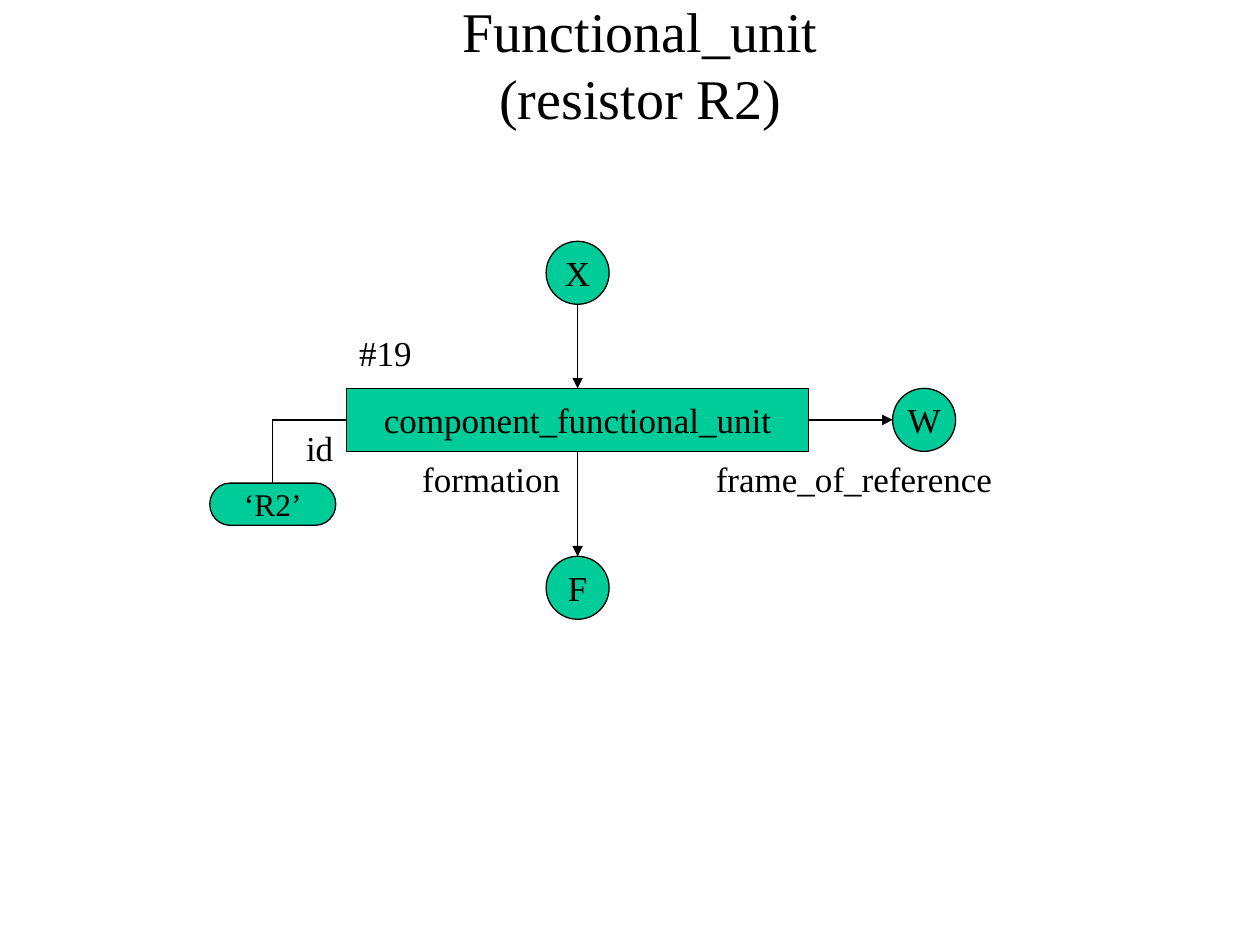
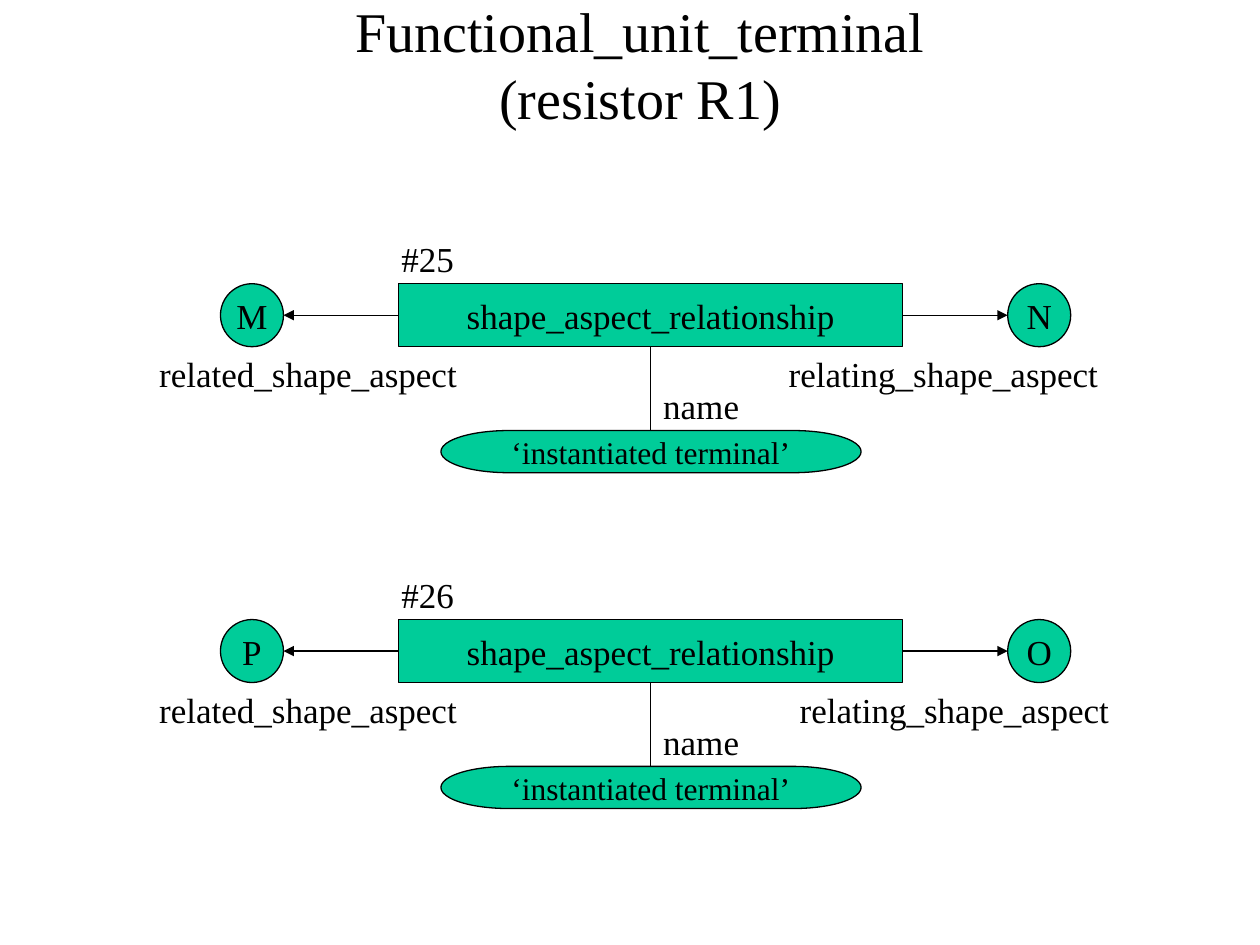
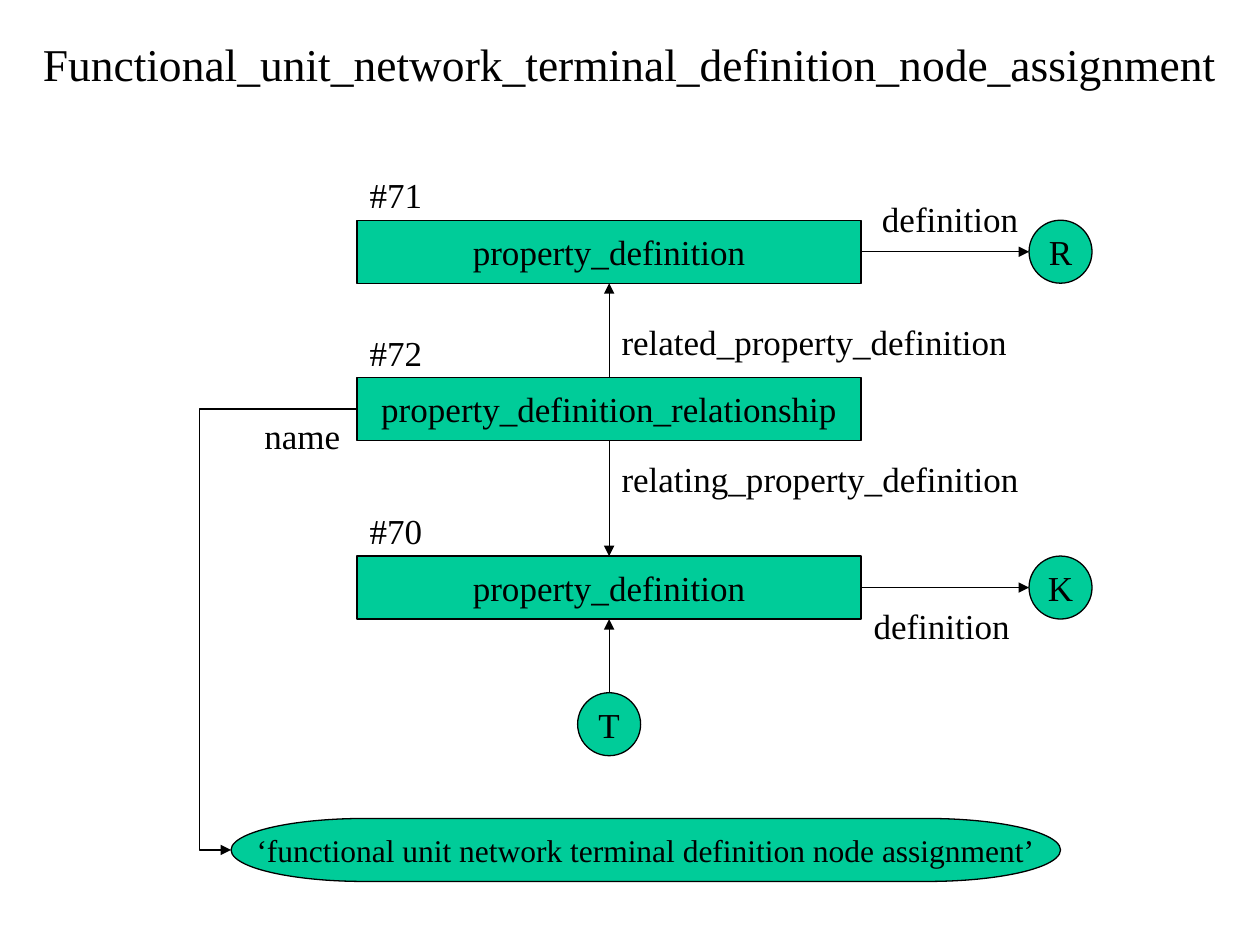
from dataclasses import dataclass

from lxml.etree import SubElement
from pptx import Presentation
from pptx.dml.color import RGBColor
from pptx.enum.shapes import MSO_CONNECTOR, MSO_SHAPE
from pptx.enum.text import MSO_ANCHOR, MSO_AUTO_SIZE, PP_ALIGN
from pptx.oxml.ns import qn
from pptx.util import Cm, Pt

GREEN = RGBColor(0x00, 0xCC, 0x99)
BLACK = RGBColor(0x00, 0x00, 0x00)
FONT = "Times New Roman"
TITLE_SIZE = 32
TEXT_SIZE = 20
VALUE_SIZE = 18
LINE_WIDTH = Pt(0.75)
ENTITY_HEIGHT = 1.27
NODE_SIZE = 1.27
VALUE_HEIGHT = 0.85
LABEL_HEIGHT = 1.12
TAG_WIDTH = 1.6
TAG_RISE = 1.06


@dataclass
class Box:
    """A rectangle in centimetres."""
    left: float
    top: float
    width: float
    height: float

    @property
    def right(self):
        """Return the right edge."""
        return self.left + self.width

    @property
    def bottom(self):
        """Return the bottom edge."""
        return self.top + self.height

    @property
    def center(self):
        """Return the horizontal centre."""
        return self.left + self.width / 2

    @property
    def middle(self):
        """Return the vertical centre."""
        return self.top + self.height / 2

    def lengths(self):
        """Return the position and size as lengths."""
        return [Cm(n) for n in (self.left, self.top, self.width, self.height)]


def style_text(text_frame, size, align):
    """Give every paragraph the shared font and the given size."""
    for paragraph in text_frame.paragraphs:
        paragraph.alignment = align
        for run in paragraph.runs:
            run.font.name = FONT
            run.font.size = Pt(size)
            run.font.color.rgb = BLACK


def add_block(slide, preset, text, box, size=TEXT_SIZE):
    """Draw a green outlined shape with centred text and return its box."""
    block = slide.shapes.add_shape(preset, *box.lengths())
    block.shadow.inherit = False
    block.fill.solid()
    block.fill.fore_color.rgb = GREEN
    block.line.color.rgb = BLACK
    block.line.width = LINE_WIDTH
    frame = block.text_frame
    frame.text = text
    frame.word_wrap = False
    frame.vertical_anchor = MSO_ANCHOR.MIDDLE
    style_text(frame, size, PP_ALIGN.CENTER)
    return box


def add_entity(slide, text, left, top, width):
    """Draw an entity rectangle."""
    box = Box(left, top, width, ENTITY_HEIGHT)
    return add_block(slide, MSO_SHAPE.RECTANGLE, text, box)


def add_node(slide, letter, center, middle):
    """Draw a lettered circle around a point."""
    box = Box(center - NODE_SIZE / 2, middle - NODE_SIZE / 2, NODE_SIZE, NODE_SIZE)
    return add_block(slide, MSO_SHAPE.FLOWCHART_CONNECTOR, letter, box)


def add_value(slide, text, left, top, width, height=VALUE_HEIGHT):
    """Draw a rounded attribute value."""
    box = Box(left, top, width, height)
    return add_block(slide, MSO_SHAPE.FLOWCHART_TERMINATOR, text, box, VALUE_SIZE)


def add_label(slide, text, left, top, width):
    """Write a one-line label."""
    label = slide.shapes.add_textbox(*Box(left, top, width, LABEL_HEIGHT).lengths())
    frame = label.text_frame
    frame.text = text
    frame.word_wrap = False
    frame.auto_size = MSO_AUTO_SIZE.SHAPE_TO_FIT_TEXT
    style_text(frame, TEXT_SIZE, PP_ALIGN.LEFT)


def add_link(slide, start, end, arrow=True, kind=MSO_CONNECTOR.STRAIGHT):
    """Draw a connector between two points, with an arrowhead at its end if asked."""
    link = slide.shapes.add_connector(kind, *[Cm(n) for n in (*start, *end)])
    link.line.color.rgb = BLACK
    link.line.width = LINE_WIDTH
    if arrow:
        SubElement(link.line._get_or_add_ln(), qn("a:tailEnd"), type="triangle")
    SubElement(link._element.spPr, qn("a:effectLst"))
    return link


def set_title_style(prs):
    """Set the shared title size and font on the master."""
    for defaults in prs.slide_master.element.xpath(".//p:titleStyle/a:lvl1pPr/a:defRPr"):
        defaults.set("sz", str(TITLE_SIZE * 100))
        defaults.find(qn("a:latin")).set("typeface", FONT)


def add_titled_slide(prs, text, left=2.11, width=21.59, size=TITLE_SIZE):
    """Add a title-only slide and place its title."""
    slide = prs.slides.add_slide(prs.slide_layouts[5])
    title = slide.shapes.title
    title.left, title.top, title.width, title.height = Box(left, 0.43, width, 1.69).lengths()
    frame = title.text_frame
    frame.text = text
    frame.word_wrap = True
    frame.auto_size = MSO_AUTO_SIZE.NONE
    frame.vertical_anchor = MSO_ANCHOR.MIDDLE
    style_text(frame, size, PP_ALIGN.CENTER)
    return slide


def draw_functional_unit(slide, left, top):
    """Draw the functional unit with its nodes and identifier."""
    unit = add_entity(slide, "component_functional_unit", left, top, 9.31)
    user = add_node(slide, "X", unit.center, top - 2.33)
    formation = add_node(slide, "F", unit.center, top + 4.02)
    reference = add_node(slide, "W", unit.right + 2.33, unit.middle)
    identifier = add_value(slide, "‘R2’", left - 2.76, top + 1.91, 2.54)

    add_link(slide, (unit.center, user.bottom), (unit.center, top))
    add_link(slide, (unit.center, unit.bottom), (unit.center, formation.top))
    add_link(slide, (unit.right, unit.middle), (reference.left, unit.middle))
    corner = add_link(slide, (left, unit.middle), (identifier.center, identifier.top),
                      arrow=False, kind=MSO_CONNECTOR.ELBOW)
    corner._element.spPr.find(qn("a:prstGeom")).set("prst", "bentConnector2")

    add_label(slide, "#19", left, top - 1.27, TAG_WIDTH)
    add_label(slide, "id", left - 1.07, top + 0.64, 1.1)
    add_label(slide, "formation", left + 1.27, unit.bottom, 3.32)
    add_label(slide, "frame_of_reference", left + 7.19, unit.bottom, 6.12)


def draw_relationship(slide, left, top, tag, related, relating, relating_offset):
    """Draw a shape aspect relationship between two nodes."""
    entity = add_entity(slide, "shape_aspect_relationship", left, top, 10.16)
    related_node = add_node(slide, related, left - 2.96, entity.middle)
    relating_node = add_node(slide, relating, entity.right + 2.75, entity.middle)
    name = add_value(slide, "‘instantiated terminal’", left + 0.85, top + 2.96, 8.47)

    add_link(slide, (left, entity.middle), (related_node.right, entity.middle))
    add_link(slide, (entity.right, entity.middle), (relating_node.left, entity.middle))
    add_link(slide, (entity.center, entity.bottom), (entity.center, name.top), arrow=False)

    add_label(slide, tag, left - 0.2, top - TAG_RISE, TAG_WIDTH)
    add_label(slide, "name", entity.center, top + 1.9, 2.05)
    add_label(slide, "related_shape_aspect", left - 5.08, entity.bottom, 6.56)
    add_label(slide, "relating_shape_aspect", left + relating_offset, entity.bottom, 6.8)


def draw_definition(slide, left, top, tag, letter, label_dx, label_dy):
    """Draw a property definition pointing to its node."""
    entity = add_entity(slide, "property_definition", left, top, 10.16)
    node = add_node(slide, letter, entity.right + 4.02, entity.middle)
    add_link(slide, (entity.right, entity.middle), (node.left, entity.middle))
    add_label(slide, tag, left, top - TAG_RISE, TAG_WIDTH)
    add_label(slide, "definition", entity.right + label_dx, top + label_dy, 3.28)
    return entity


def draw_assignment(slide, left, top):
    """Draw two property definitions and the relationship that joins them."""
    related = draw_definition(slide, left, top, "#71", "R", 0.17, -0.59)
    relating = draw_definition(slide, left, top + 6.77, "#70", "K", 0, 0.85)
    joint = add_entity(slide, "property_definition_relationship", left, top + 3.17, 10.16)
    terminal = add_node(slide, "T", relating.center, relating.bottom + 2.12)
    name = add_value(slide, "‘functional unit network terminal definition node assignment’",
                     left - 2.54, top + 12.06, 16.72, 1.27)

    add_link(slide, (joint.center, joint.top), (joint.center, related.bottom))
    add_link(slide, (joint.center, joint.bottom), (joint.center, relating.top))
    add_link(slide, (joint.center, terminal.top), (joint.center, relating.bottom))
    detour = add_link(slide, (left, joint.middle), (name.left, name.middle),
                      kind=MSO_CONNECTOR.ELBOW)
    adjustments = detour._element.spPr.find(qn("a:prstGeom")).get_or_add_avLst()
    SubElement(adjustments, qn("a:gd"), name="adj1", fmla="val 125000")

    add_label(slide, "#72", left, joint.top - TAG_RISE, TAG_WIDTH)
    add_label(slide, "name", left - 2.12, joint.top + 0.63, 2.05)
    add_label(slide, "related_property_definition", joint.center, joint.top - 1.27, 8.3)
    add_label(slide, "relating_property_definition", joint.center, joint.top + 1.48, 8.54)


def main():
    """Build the three slides."""
    prs = Presentation()
    prs.slide_width, prs.slide_height = Cm(25.4), Cm(19.05)
    set_title_style(prs)

    unit_slide = add_titled_slide(prs, "Functional_unit\v(resistor R2)")
    draw_functional_unit(unit_slide, 6.99, 7.83)

    terminal_slide = add_titled_slide(prs, "Functional_unit_terminal\v(resistor R1)")
    draw_relationship(terminal_slide, 8.04, 5.72, "#25", "M", "N", 7.61)
    draw_relationship(terminal_slide, 8.04, 12.49, "#26", "P", "O", 7.83)

    assignment_slide = add_titled_slide(
        prs, "Functional_unit_network_terminal_definition_node_assignment", 0, 25.4, 26)
    draw_assignment(assignment_slide, 7.2, 4.44)

    prs.save("out.pptx")


if __name__ == "__main__":
    main()
